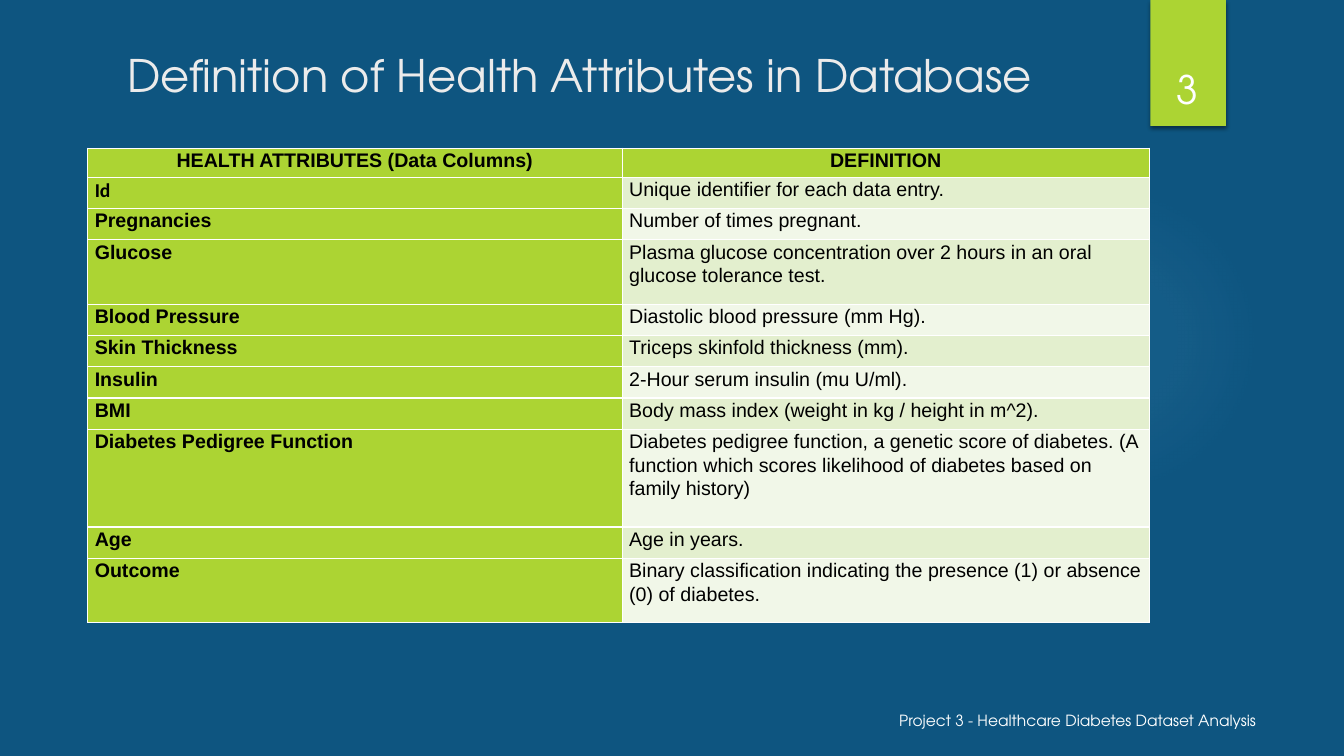
from dataclasses import dataclass

from lxml import etree
from pptx import Presentation
from pptx.dml import color
from pptx.enum import shapes, text
from pptx.oxml import ns
from pptx.util import Inches, Pt


@dataclass(frozen=True)
class Theme:
    background: str = "0E5580"
    accent: str = "ACD433"
    bands: tuple = ("E3EFCE", "F1F7E8")
    glow: str = "78C4F1"
    title: str = "EBEBEB"
    light: str = "FFFFFF"
    dark: str = "000000"
    display_font: str = "TeX Gyre Adventor"
    table_font: str = "Arial"
    id_font: str = "Calibri"
    title_size: int = 32
    number_size: int = 28
    table_size: int = 14
    footer_size: int = 11


THEME = Theme()
ATTRIBUTES = [
    ("Id", "Unique identifier for each data entry.", 1),
    ("Pregnancies", "Number of times pregnant.", 1),
    ("Glucose", "Plasma glucose concentration over 2 hours in an oral glucose tolerance test.", 2),
    ("Blood Pressure", "Diastolic blood pressure (mm Hg).", 1),
    ("Skin Thickness", "Triceps skinfold thickness (mm).", 1),
    ("Insulin", "2-Hour serum insulin (mu U/ml).", 1),
    ("BMI", "Body mass index (weight in kg / height in m^2).", 1),
    ("Diabetes Pedigree Function", "Diabetes pedigree function, a genetic score of diabetes. "
     "(A function which scores likelihood of diabetes based on family history)", 3),
    ("Age", "Age in years.", 1),
    ("Outcome", "Binary classification indicating the presence (1) or absence (0) of diabetes.", 2),
]


def paint(fill, rgb):
    fill.solid()
    fill.fore_color.rgb = color.RGBColor.from_string(rgb)


def write(tf, words, font=THEME.display_font, size=THEME.table_size, rgb=THEME.dark,
          bold=False, align=text.PP_ALIGN.LEFT, anchor=None, spacing=None):
    tf.word_wrap = True
    if anchor is not None:
        tf.vertical_anchor = anchor
    p = tf.paragraphs[0]
    p.alignment = align
    p.line_spacing = spacing
    r = p.add_run()
    r.text = words
    r.font.name, r.font.size, r.font.bold = font, Pt(size), bold
    r.font.color.rgb = color.RGBColor.from_string(rgb)


def add_plain_shape(s, kind, box):
    sp = s.shapes.add_shape(kind, *map(Inches, box))
    sp.shadow.inherit = False
    sp.line.fill.background()
    return sp


def add_glow(s, box):
    sp = add_plain_shape(s, shapes.MSO_SHAPE.OVAL, box)
    sp.fill.background()
    stops = "".join(
        f'<a:gs pos="{pos * 1000}"><a:srgbClr val="{THEME.glow}">'
        f'<a:alpha val="{alpha * 1000}"/></a:srgbClr></a:gs>'
        for pos, alpha in ((0, 7), (36, 6), (69, 0), (100, 0)))
    gradient = etree.fromstring(
        f'<a:gradFill {ns.nsdecls("a")}><a:gsLst>{stops}</a:gsLst><a:path path="circle">'
        '<a:fillToRect l="50000" t="50000" r="50000" b="50000"/></a:path></a:gradFill>')
    spPr = sp.element.spPr
    spPr.replace(spPr.find(ns.qn("a:noFill")), gradient)


def add_number_tab(s, box, number):
    x, y, w, h = box
    sp = add_plain_shape(s, shapes.MSO_SHAPE.RECTANGLE, box)
    paint(sp.fill, THEME.accent)
    effects = sp.element.spPr.find(ns.qn("a:effectLst"))
    effects.append(etree.fromstring(
        f'<a:outerShdw {ns.nsdecls("a")} blurRad="{Pt(3)}" dist="{Pt(2)}" dir="5400000" '
        'rotWithShape="0"><a:srgbClr val="000000"><a:alpha val="45000"/></a:srgbClr></a:outerShdw>'))
    add_label(s, (x - 0.09, y + 0.32, w + 0.17, h - 0.41), number,
              size=THEME.number_size, align=text.PP_ALIGN.CENTER)


def add_label(s, box, words, **fmt):
    tf = s.shapes.add_textbox(*map(Inches, box)).text_frame
    write(tf, words, rgb=THEME.light, anchor=text.MSO_ANCHOR.BOTTOM, **fmt)


def set_title(s, box, words):
    sp = s.shapes.title
    sp.left, sp.top, sp.width, sp.height = map(Inches, box)
    sp.text_frame.auto_size = text.MSO_AUTO_SIZE.NONE
    write(sp.text_frame, words, size=THEME.title_size, rgb=THEME.title,
          anchor=text.MSO_ANCHOR.TOP)


def fill_cell(cell, words, rgb, **fmt):
    paint(cell.fill, rgb)
    cell.margin_left = cell.margin_right = Inches(0.07)
    cell.margin_top = cell.margin_bottom = 0
    write(cell.text_frame, words, **{"font": THEME.table_font, "spacing": 1.07, **fmt})


def add_attribute_table(s, box):
    table = s.shapes.add_table(len(ATTRIBUTES) + 1, 2, *map(Inches, box)).table
    table.first_col = True
    table.columns[0].width = Inches(5.3)
    table.columns[1].width = Inches(box[2] - 5.3)
    table.rows[0].height = Inches(0.29)
    for col, heading in enumerate(("HEALTH ATTRIBUTES (Data Columns)", "DEFINITION")):
        fill_cell(table.cell(0, col), heading, THEME.accent, bold=True,
                  align=text.PP_ALIGN.CENTER)
    for row, (name, definition, lines) in enumerate(ATTRIBUTES, 1):
        table.rows[row].height = Inches(0.31 + 0.33 * (lines - 1))
        font = THEME.id_font if name == "Id" else THEME.table_font
        fill_cell(table.cell(row, 0), name, THEME.accent, bold=True, font=font)
        fill_cell(table.cell(row, 1), definition, THEME.bands[(row - 1) % 2])


def build_definition_slide(prs):
    s = prs.slides.add_slide(prs.slide_layouts[5])
    paint(s.background.fill, THEME.background)
    add_glow(s, (9.41, 1.83, 3.08, 3.08))
    add_number_tab(s, (11.41, 0, 0.75, 1.25), "3")
    set_title(s, (1.16, 0.42, 10.16, 0.74), "Definition of Health Attributes in Database")
    add_attribute_table(s, (0.87, 1.47, 10.53, 4.74))
    add_label(s, (8.82, 6.96, 4.22, 0.33), "Project 3 - Healthcare Diabetes Dataset Analysis",
              size=THEME.footer_size)


def main():
    prs = Presentation()
    prs.slide_width, prs.slide_height = Inches(13.33), Inches(7.5)
    build_definition_slide(prs)
    prs.save("out.pptx")


if __name__ == "__main__":
    main()
